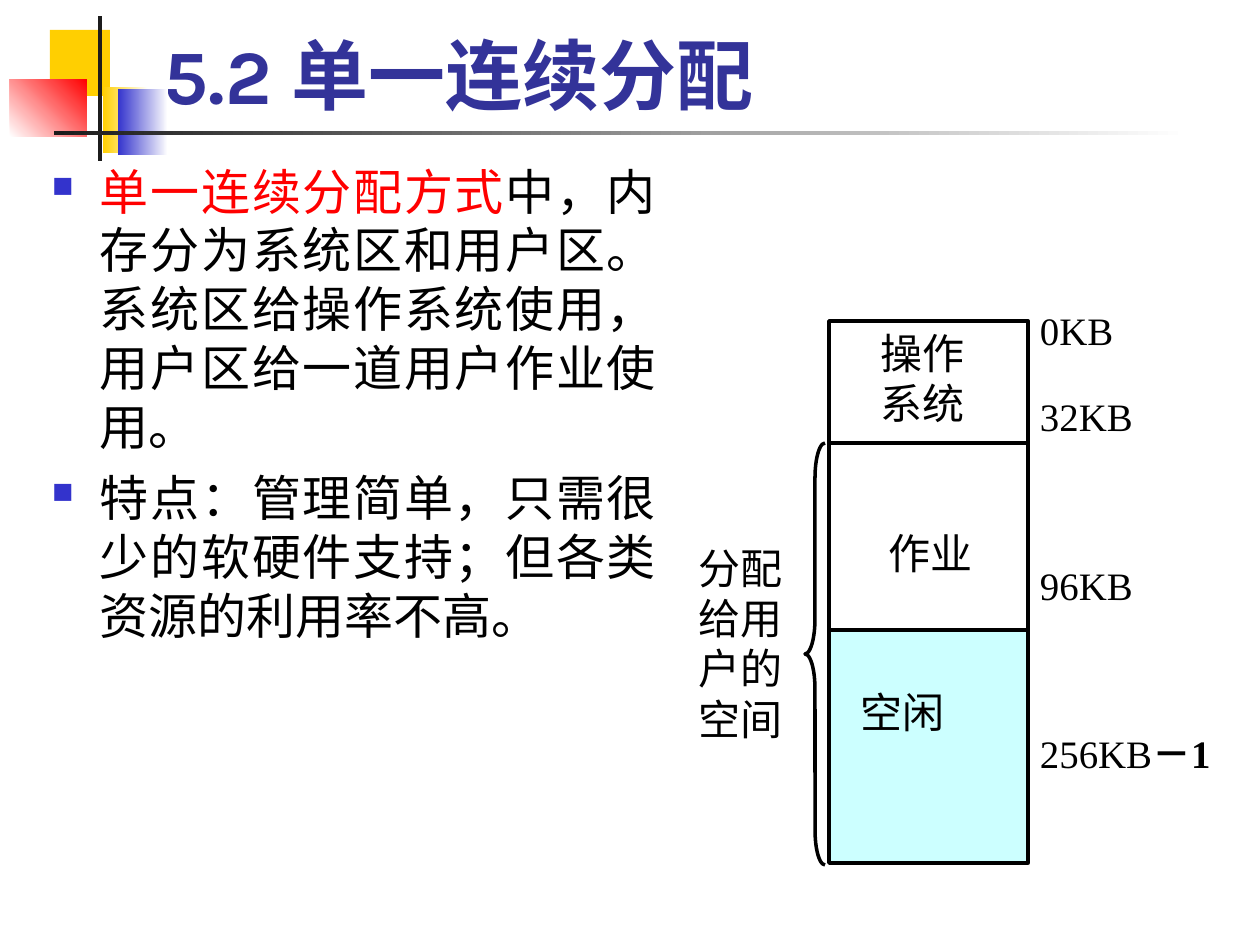
from dataclasses import dataclass
from pptx import Presentation
from pptx.dml.color import RGBColor
from pptx.enum.shapes import MSO_CONNECTOR as Connector, MSO_SHAPE as Shape
from pptx.enum.text import MSO_ANCHOR as Anchor, PP_ALIGN as Align
from pptx.oxml.ns import qn
from pptx.util import Emu, Pt
from lxml.etree import SubElement


@dataclass(frozen=True)
class Theme:
    heading_font: str = "Karla"
    label_font: str = "Times New Roman"
    ink: str = "000000"
    paper: str = "FFFFFF"
    title: str = "333399"
    accent: str = "FF0000"
    blue: str = "3333CC"
    yellow: str = "FFCF01"
    bar: str = "1C1C1C"
    free: str = "CCFFFF"
    title_size: float = 44
    body_size: float = 28
    label_size: float = 24
    address_size: float = 22.2
    line_width: float = 2


THEME = Theme()


def px(length):
    return Emu(round(length * 914400 / 126))


def rgb(value):
    return RGBColor.from_string(value)


def add_span(para, text, font=THEME.label_font, size=THEME.label_size,
             color=THEME.ink, bold=False):
    span = para.add_run()
    span.text = text
    span.font.name = font
    span.font.size = Pt(size)
    span.font.color.rgb = rgb(color)
    span.font.bold = bold
    return span


def set_frame(frame, insets=(0, 0, 0, 0), anchor=Anchor.TOP):
    frame.word_wrap = True
    frame.vertical_anchor = anchor
    frame.margin_left, frame.margin_top, frame.margin_right, frame.margin_bottom = map(px, insets)
    return frame


def next_para(frame, first, align=Align.LEFT, before=0, indent=0, hanging=0):
    para = frame.paragraphs[0] if first else frame.add_paragraph()
    para.alignment = align
    para.space_before = Pt(0 if first else before)
    properties = para._p.get_or_add_pPr()
    properties.set("marL", str(px(indent)))
    properties.set("indent", str(px(-hanging)))
    return para


def add_bullet(para):
    properties = para._p.get_or_add_pPr()
    color = SubElement(properties, qn("a:buClr"))
    SubElement(color, qn("a:srgbClr")).set("val", THEME.blue)
    SubElement(properties, qn("a:buSzPct")).set("val", "60000")
    SubElement(properties, qn("a:buChar")).set("char", "■")


def add_box(page, left, top, width, height, colors, angle=0, outlined=False):
    box = page.shapes.add_shape(Shape.RECTANGLE, px(left), px(top), px(width), px(height))
    box.shadow.inherit = False
    if len(colors) == 1:
        box.fill.solid()
        box.fill.fore_color.rgb = rgb(colors[0])
    else:
        box.fill.gradient()
        box.fill.gradient_angle = angle
        for stop, color in zip(box.fill.gradient_stops, colors):
            stop.color.rgb = rgb(color)
    if outlined:
        set_line(box)
    else:
        box.line.fill.background()
    return box


def set_line(shape):
    shape.line.color.rgb = rgb(THEME.ink)
    shape.line.width = Pt(THEME.line_width)


def add_text_box(page, left, top, width, height, insets=(0, 0, 0, 0)):
    box = page.shapes.add_textbox(px(left), px(top), px(width), px(height))
    return set_frame(box.text_frame, insets)


def add_emblem(page, left, top):
    parts = [
        (40, 14, 60, 66, [THEME.yellow], 0),
        (93, 71, 45, 66, [THEME.yellow, THEME.paper], 0),
        (108, 73, 50, 66, [THEME.blue, THEME.paper], 0),
        (0, 63, 77, 58, [THEME.paper, THEME.accent], 45),
        (88, 0, 4, 145, [THEME.bar], 0),
        (44, 115, 1134, 4, [THEME.bar, THEME.paper], 0),
    ]
    for x, y, width, height, colors, angle in parts:
        add_box(page, left + x, top + y, width, height, colors, angle)


def add_title(page, left, top, width, height):
    title = page.shapes.title
    title.left, title.top, title.width, title.height = map(px, (left, top, width, height))
    frame = set_frame(title.text_frame, (13, 6, 13, 6), Anchor.BOTTOM)
    add_span(next_para(frame, True), "5.2 单一连续分配", THEME.heading_font,
             THEME.title_size, THEME.title, True)


def add_body(page, left, top, width, height):
    frame = add_text_box(page, left, top, width, height, (13, 6, 13, 6))
    points = [
        [("单一连续分配方式", THEME.accent),
         ("中，内存分为系统区和用户区。系统区给操作系统使用，用户区给一道用户作业使用。", THEME.ink)],
        [("特点：管理简单，只需很少的软硬件支持；但各类资源的利用率不高。", THEME.ink)],
    ]
    for index, spans in enumerate(points):
        para = next_para(frame, index == 0, Align.JUSTIFY, 7, 48, 48)
        add_bullet(para)
        for text, color in spans:
            add_span(para, text, THEME.heading_font, THEME.body_size, color)


def add_memory_map(page, left, top):
    column, width, used, system, free = left + 150, 199, 309, 122, 233

    used_box = add_box(page, column, top, width, used, [THEME.paper], outlined=True)
    frame = set_frame(used_box.text_frame, (13, 6, 13, 6))
    for index, (text, before, indent) in enumerate(
            [("操作", 0, 39), ("系统", 0, 39), ("作业", 57, 47)]):
        add_span(next_para(frame, index == 0, Align.JUSTIFY, before, indent), text)

    divider = page.shapes.add_connector(
        Connector.STRAIGHT, px(column), px(top + system), px(column + width), px(top + system))
    set_line(divider)
    SubElement(divider._element.spPr, qn("a:effectLst"))

    free_box = add_box(page, column, top + used, width, free, [THEME.free], outlined=True)
    frame = set_frame(free_box.text_frame, (13, 56, 13, 6))
    add_span(next_para(frame, True, indent=19), "空闲", THEME.heading_font)

    brace = page.shapes.add_shape(
        Shape.LEFT_BRACE, px(left + 126), px(top + system), px(20), px(used + free - system + 2))
    brace.shadow.inherit = False
    brace.fill.background()
    brace.adjustments[0] = 1.75
    set_line(brace)

    frame = add_text_box(page, left, top + 221, 123, 210)
    add_span(next_para(frame, True, Align.CENTER), "分配给用户的空间")

    frame = add_text_box(page, left + 358, top - 10, 197, 588, (3, 1, 3, 1))
    for index, (address, before) in enumerate(
            [("0KB", 0), ("32KB", 25), ("96KB", 72.5), ("256KB", 72.5)]):
        para = next_para(frame, index == 0, Align.JUSTIFY, before)
        para.line_spacing = 0.9
        add_span(para, address, size=THEME.address_size)
    add_span(para, "－1", size=THEME.address_size, bold=True)


def main():
    deck = Presentation()
    deck.slide_width, deck.slide_height = px(1260), px(945)
    page = deck.slides.add_slide(deck.slide_layouts[5])
    page.background.fill.solid()
    page.background.fill.fore_color.rgb = rgb(THEME.paper)
    add_emblem(page, 10, 16)
    add_title(page, 151, 21, 1074, 105)
    add_body(page, 39, 155, 630, 625)
    add_memory_map(page, 679, 321)
    deck.save("out.pptx")


if __name__ == "__main__":
    main()
